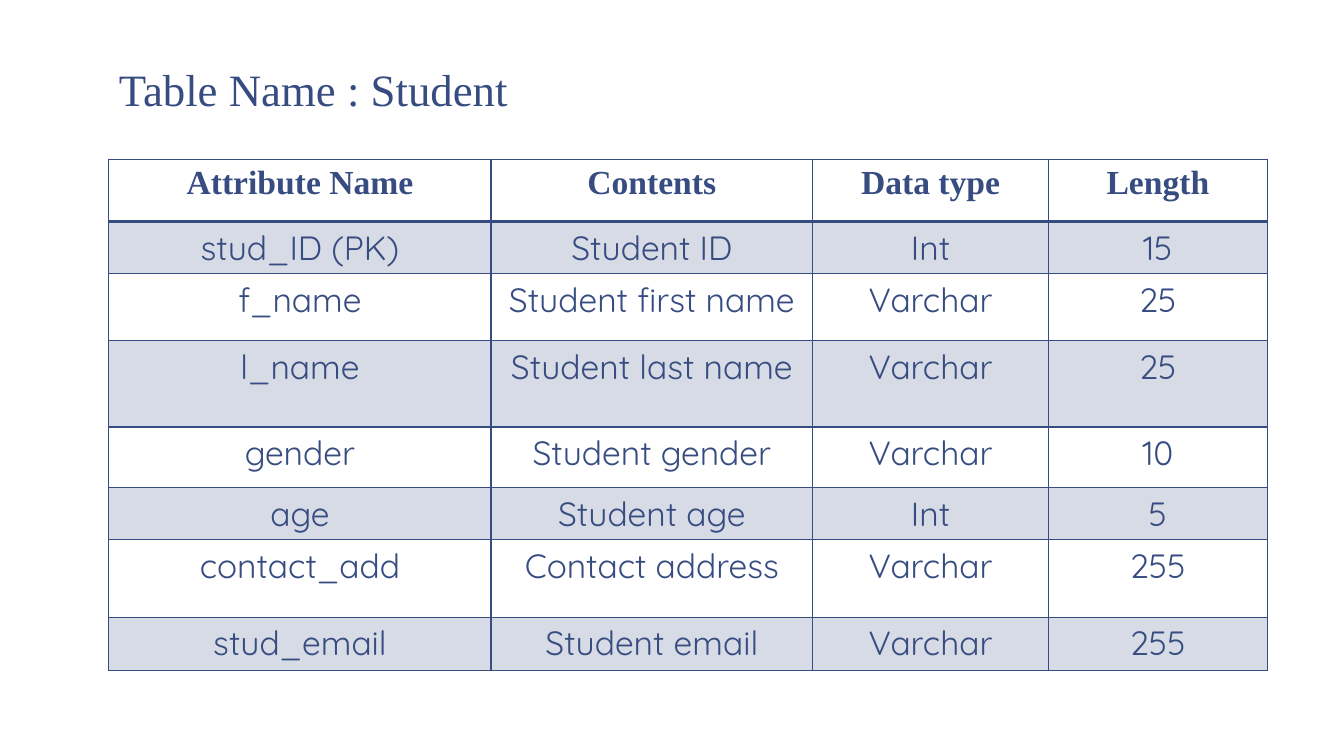
from dataclasses import dataclass

from lxml.etree import SubElement
from pptx import Presentation
from pptx.dml.color import RGBColor as Rgb
from pptx.enum.text import MSO_AUTO_SIZE as AutoSize, PP_ALIGN as Align
from pptx.oxml.ns import qn
from pptx.util import Inches, Pt


@dataclass(frozen=True)
class Theme:
    ink: str = "374C81"
    serif: str = "Times New Roman"
    sans: str = "Quicksand"
    title_size: int = 32
    table_size: int = 24
    band_alpha: int = 20
    thin: int = 1
    thick: int = 2


class SlideBuilder:
    """Holds the theme and the current slide, and adds styled elements to it."""

    def __init__(self, page, theme):
        self.page = page
        self.theme = theme

    def add_text(self, frame, text, size, font, bold=False, align=Align.LEFT):
        para = frame.paragraphs[0]
        para.alignment = align
        span = para.add_run()
        span.text = text
        formats = {"name": font, "size": Pt(size), "bold": bold}
        for name, value in formats.items():
            setattr(span.font, name, value)
        span.font.color.rgb = Rgb.from_string(self.theme.ink)

    def title(self, text, left, top, width, height):
        box = self.page.shapes.add_textbox(*map(Inches, (left, top, width, height)))
        formats = {"word_wrap": False, "auto_size": AutoSize.SHAPE_TO_FIT_TEXT}
        for name, value in formats.items():
            setattr(box.text_frame, name, value)
        self.add_text(box.text_frame, text, self.theme.title_size, self.theme.serif)

    def borders(self, cell, **widths):
        properties = cell._tc.get_or_add_tcPr()
        for side in "LRTB":
            width = widths.get(side, self.theme.thin)
            line = SubElement(properties, qn(f"a:ln{side}"), w=str(Pt(width)))
            fill = SubElement(line, qn("a:solidFill"))
            SubElement(fill, qn("a:srgbClr"), val=self.theme.ink)

    def shade(self, cell, banded):
        if not banded:
            cell.fill.background()
            return
        cell.fill.solid()
        cell.fill.fore_color.rgb = Rgb.from_string(self.theme.ink)
        color = cell._tc.tcPr.find(qn("a:solidFill")).find(qn("a:srgbClr"))
        SubElement(color, qn("a:alpha"), val=str(self.theme.band_alpha * 1000))

    def table(self, rows, left, top, widths, heights):
        theme = self.theme
        area = map(Inches, (left, top, sum(widths), sum(heights)))
        table = self.page.shapes.add_table(len(rows), len(widths), *area).table
        table.horz_banding = False
        for column, width in zip(table.columns, widths):
            column.width = Inches(width)
        for row, height in zip(table.rows, heights):
            row.height = Inches(height)
        edges = {0: {"B": theme.thick}, 1: {"T": theme.thick}}
        for index, texts in enumerate(rows):
            header = index == 0
            font = theme.serif if header else theme.sans
            for column, text in enumerate(texts):
                cell = table.cell(index, column)
                self.borders(cell, **edges.get(index, {}))
                self.shade(cell, banded=index % 2 == 1)
                self.add_text(cell.text_frame, text, theme.table_size, font, header, Align.CENTER)


STUDENT_FIELDS = [
    ("Attribute Name", "Contents", "Data type", "Length"),
    ("stud_ID (PK)", "Student ID", "Int", "15"),
    ("f_name", "Student first name", "Varchar", "25"),
    ("l_name", "Student last name", "Varchar", "25"),
    ("gender", "Student gender", "Varchar", "10"),
    ("age", "Student age", "Int", "5"),
    ("contact_add", "Contact address", "Varchar", "255"),
    ("stud_email", "Student email", "Varchar", "255"),
]
COLUMN_WIDTHS = [3.79, 3.19, 2.34, 2.17]
ROW_HEIGHTS = [0.62, 0.48, 0.66, 0.86, 0.6, 0.48, 0.77, 0.53]
MARGIN = 1.08

deck = Presentation()
deck.slide_width, deck.slide_height = Inches(13.33), Inches(7.5)
builder = SlideBuilder(deck.slides.add_slide(deck.slide_layouts[6]), Theme())
builder.table(STUDENT_FIELDS, MARGIN, 1.58, COLUMN_WIDTHS, ROW_HEIGHTS)
builder.title("Table Name : Student", MARGIN, 0.56, 4.1, 0.64)
deck.save("out.pptx")
